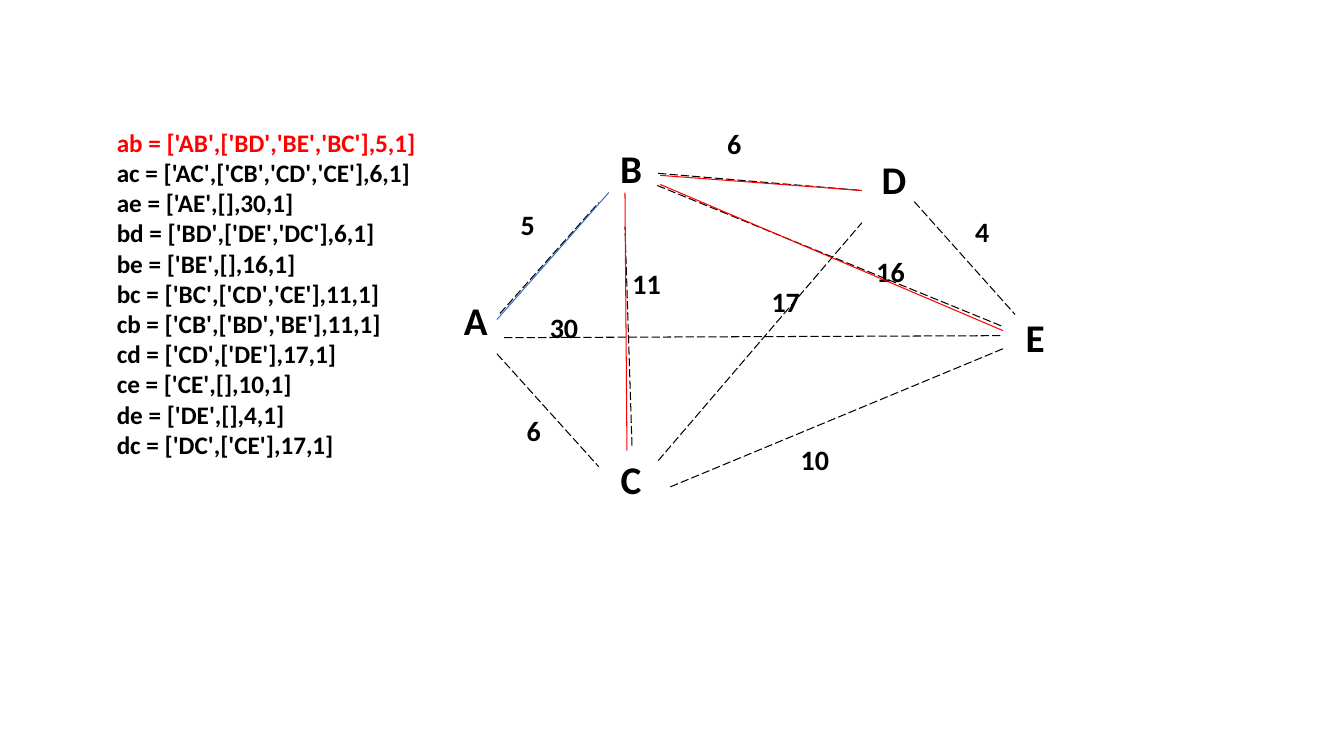
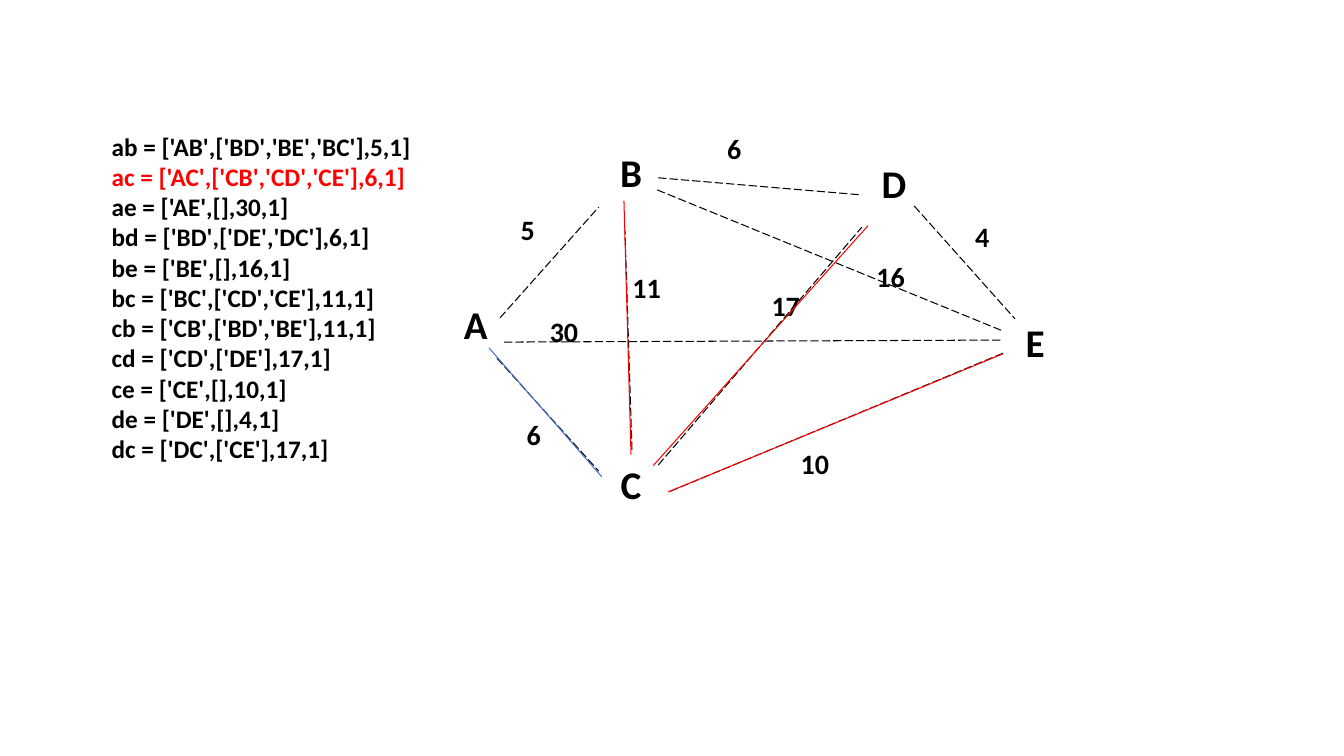
from dataclasses import dataclass
from typing import NamedTuple

from lxml import etree
from pptx import Presentation
from pptx import util as u
from pptx.dml.color import RGBColor
from pptx.enum import dml, shapes, text
from pptx.oxml.ns import qn
from pptx.shapes.group import GroupShape
from pptx.shapes.shapetree import GroupShapes, SlideShapes
from pptx.slide import Slide

CELL = u.Inches(0.1)  # side of a grid cell
SLIDE_COLUMNS, SLIDE_ROWS = 133.33, 75


@dataclass(frozen=True)
class Theme:
    font: str = "Calibri"
    ink: str = "000000"
    active: str = "FF0000"
    travelled: str = "4472C4"
    node_size: int = 28
    weight_size: int = 20
    code_size: int = 18
    line_width: float = 0.75


THEME = Theme()


class Point(NamedTuple):
    column: float
    row: float


class Size(NamedTuple):
    columns: float
    rows: float


class Label(NamedTuple):
    caption: str
    corner: Point


class Edge(NamedTuple):
    start: Point
    end: Point
    weight: Label


class Segment(NamedTuple):
    start: Point
    end: Point


class Step(NamedTuple):
    """One slide: the edge just travelled and the edges it leads to."""
    code_row: int
    code_corner: Point
    graph_shift: float
    travelled: Segment
    candidates: tuple[Segment, ...]


NODE_SIZE = Size(6.4, 8.1)
WEIGHT_SIZE = Size(7.1, 6.2)
CODE_SIZE = Size(36.2, 40.4)

NODES = (
    Label("A", Point(44, 28.9)),
    Label("E", Point(99.5, 30.6)),
    Label("B", Point(59.4, 13.8)),
    Label("C", Point(59.4, 44.7)),
    Label("D", Point(85.5, 14.9)),
)

EDGES = (
    Edge(Point(49.3, 35.1), Point(59.4, 46.3), Label("6", Point(49.4, 40.5))),
    Edge(Point(62.7, 44.2), Point(62, 22.5), Label("11", Point(60.6, 25.9))),
    Edge(Point(65.3, 17.2), Point(85.5, 18.9), Label("6", Point(69.3, 12.1))),
    Edge(Point(49.6, 31.1), Point(59.4, 20.1), Label("5", Point(48.8, 20.1))),
    Edge(Point(65.2, 18.4), Point(99.5, 32.4), Label("16", Point(84.8, 24.8))),
    Edge(Point(66.5, 48.3), Point(99.5, 34.6), Label("10", Point(77.3, 43.4))),
    Edge(Point(90.7, 20), Point(100.7, 31.2), Label("4", Point(93.9, 20.8))),
    Edge(Point(65.3, 45.7), Point(85.5, 22.1), Label("17", Point(74.4, 27.7))),
    Edge(Point(50, 33.5), Point(99.5, 33.3), Label("30", Point(52.4, 30.3))),
)

CODE = (
    "ab = ['AB',['BD','BE','BC'],5,1]",
    "ac = ['AC',['CB','CD','CE'],6,1]",
    "ae = ['AE',[],30,1]",
    "bd = ['BD',['DE','DC'],6,1]",
    "be = ['BE',[],16,1]",
    "bc = ['BC',['CD','CE'],11,1]",
    "cb = ['CB',['BD','BE'],11,1]",
    "cd = ['CD',['DE'],17,1]",
    "ce = ['CE',[],10,1]",
    "de = ['DE',[],4,1]",
    "dc = ['DC',['CE'],17,1]",
)

STEPS = (
    Step(
        code_row=0,
        code_corner=Point(10.6, 12.1),
        graph_shift=0,
        travelled=Segment(Point(49.3, 31.7), Point(60.4, 19.1)),
        candidates=(
            Segment(Point(65.5, 17.4), Point(85.5, 18.9)),
            Segment(Point(65.5, 18.3), Point(99.5, 32.8)),
            Segment(Point(62, 19.1), Point(62.2, 44.7)),
        ),
    ),
    Step(
        code_row=1,
        code_corner=Point(10.1, 12.5),
        graph_shift=0.44,
        travelled=Segment(Point(48.5, 34.5), Point(59.7, 47.3)),
        candidates=(
            Segment(Point(61.9, 19.9), Point(62.6, 45.1)),
            Segment(Point(86.1, 22.4), Point(64.8, 46.2)),
            Segment(Point(99.5, 35.1), Point(66.3, 48.8)),
        ),
    ),
)


def grid(cells: float) -> u.Emu:
    return u.Emu(round(cells * CELL))


def add_text(
    canvas: SlideShapes | GroupShapes,
    lines: tuple[str, ...],
    corner: Point,
    size: Size,
    points: int,
    alignment: text.PP_ALIGN,
    active_row: int | None = None,
) -> None:
    frame = canvas.add_textbox(*map(grid, (*corner, *size))).text_frame
    frame.word_wrap = True
    frame.auto_size = text.MSO_AUTO_SIZE.SHAPE_TO_FIT_TEXT
    frame.text = "\n".join(lines)
    font_format = {"name": THEME.font, "size": u.Pt(points), "bold": True}
    for row, paragraph in enumerate(frame.paragraphs):
        paragraph.alignment = alignment
        font = paragraph.runs[0].font
        for name, value in font_format.items():
            setattr(font, name, value)
        color = THEME.active if row == active_row else THEME.ink
        font.color.rgb = RGBColor.from_string(color)


def add_line(
    canvas: SlideShapes | GroupShapes,
    start: Point,
    end: Point,
    color: str,
    dash: dml.MSO_LINE | None = None,
) -> None:
    connector = canvas.add_connector(
        shapes.MSO_CONNECTOR.STRAIGHT, *map(grid, (*start, *end))
    )
    connector.line.color.rgb = RGBColor.from_string(color)
    connector.line.width = u.Pt(THEME.line_width)
    connector.line.dash_style = dash
    etree.SubElement(connector._element.spPr, qn("a:effectLst"))


def add_graph(slide: Slide) -> GroupShape:
    group = slide.shapes.add_group_shape()
    canvas = group.shapes
    center = text.PP_ALIGN.CENTER
    for node in NODES:
        add_text(canvas, (node.caption,), node.corner, NODE_SIZE,
                 THEME.node_size, center)
    for edge in EDGES:
        add_line(canvas, edge.start, edge.end, THEME.ink, dml.MSO_LINE.LONG_DASH)
    for edge in EDGES:
        add_text(canvas, (edge.weight.caption,), edge.weight.corner, WEIGHT_SIZE,
                 THEME.weight_size, center)
    return group


def add_step(presentation: Presentation, step: Step) -> None:
    slide = presentation.slides.add_slide(presentation.slide_layouts[6])
    graph = add_graph(slide)
    graph.top = u.Emu(graph.top + grid(step.graph_shift))
    add_text(slide.shapes, CODE, step.code_corner, CODE_SIZE, THEME.code_size,
             text.PP_ALIGN.LEFT, step.code_row)
    add_line(slide.shapes, *step.travelled, THEME.travelled)
    for candidate in step.candidates:
        add_line(slide.shapes, *candidate, THEME.active)


def main() -> None:
    presentation = Presentation()
    presentation.slide_width = grid(SLIDE_COLUMNS)
    presentation.slide_height = grid(SLIDE_ROWS)
    for step in STEPS:
        add_step(presentation, step)
    presentation.save("out.pptx")


if __name__ == "__main__":
    main()
